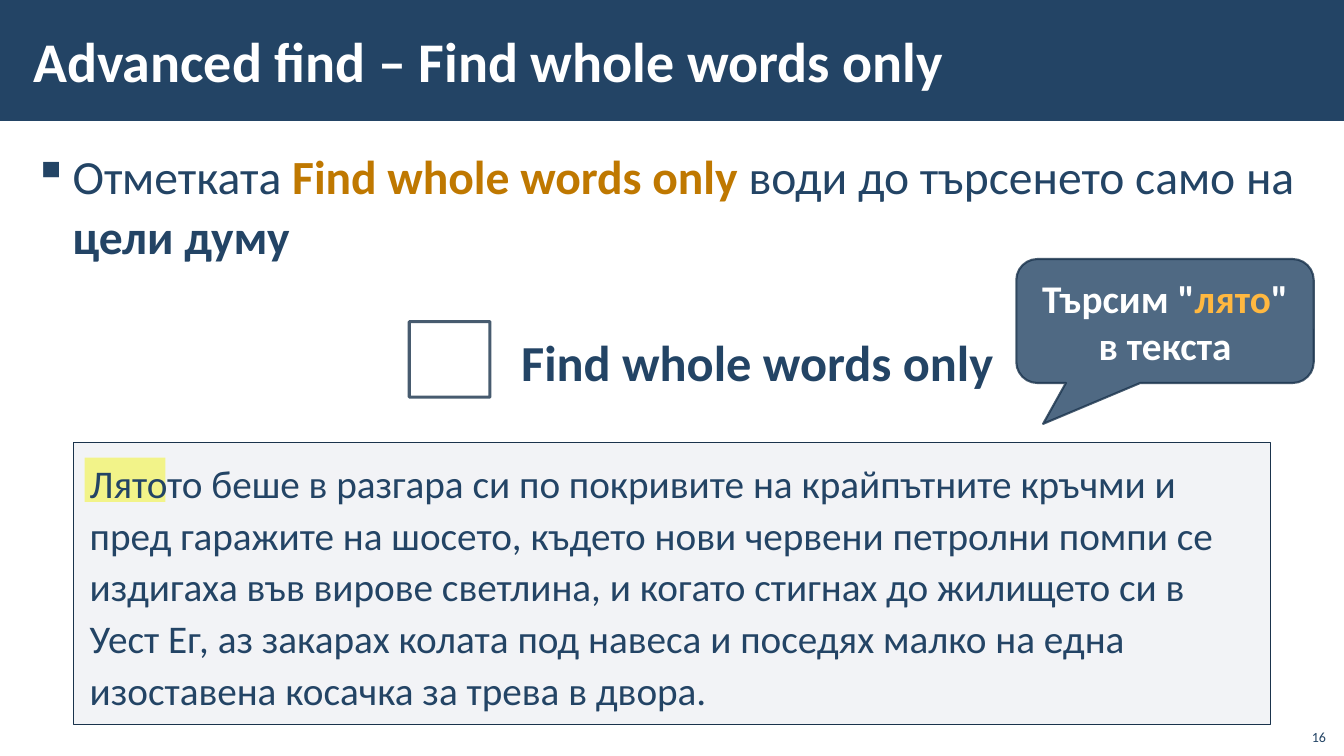
from lxml.etree import SubElement
from pptx import Presentation
from pptx.dml.color import RGBColor
from pptx.enum.shapes import MSO_SHAPE
from pptx.enum.text import MSO_ANCHOR, PP_ALIGN
from pptx.oxml.ns import qn
from pptx.util import Inches, Pt

COLORS = {
    "navy": "234465", "dark": "1A334C", "grey": "ADB4C3", "white": "FFFFFF",
    "brown": "BF7800", "gold": "FFB840", "yellow": "FFFF00",
}
FONT = "Calibri"
PAD = (0.16, 0.12, 0.16, 0.12)
STORY = (
    "Лятото беше в разгара си по покривите на крайпътните кръчми и пред "
    "гаражите на шосето, където нови червени петролни помпи се издигаха във "
    "вирове светлина, и когато стигнах до жилището си в Уест Ег, аз закарах "
    "колата под навеса и поседях малко на една изоставена косачка за трева "
    "в двора."
)


def tint(fill, name, alpha):
    """Set a solid colour with an opacity in percent."""
    fill.solid()
    fill.fore_color.rgb = RGBColor.from_string(COLORS[name])
    if alpha < 100:
        color = fill._xPr.find(qn("a:solidFill"))[0]
        SubElement(color, qn("a:alpha")).set("val", str(alpha * 1000))


def add_box(slide, box, kind=MSO_SHAPE.RECTANGLE, fill=None, alpha=100,
            line=None, width=1, clear=100):
    shape = slide.shapes.add_shape(kind, *map(Inches, box))
    shape.shadow.inherit = False
    if fill:
        tint(shape.fill, fill, alpha)
    else:
        shape.fill.background()
    if line:
        tint(shape.line.fill, line, clear)
        shape.line.width = Pt(width)
    else:
        shape.line.fill.background()
    return shape


def add_text(slide, box, runs, shape=None, size=28, color="navy", bold=False,
             align=PP_ALIGN.LEFT, anchor=MSO_ANCHOR.TOP, pad=PAD, space=None,
             bullet=None, indent=0):
    """Write runs of (text, color, bold) in a shape or a new text box."""
    shape = shape or slide.shapes.add_textbox(*map(Inches, box))
    frame = shape.text_frame
    frame.word_wrap = True
    frame.vertical_anchor = anchor
    (frame.margin_left, frame.margin_top,
     frame.margin_right, frame.margin_bottom) = map(Inches, pad)
    para = frame.paragraphs[0]
    para.alignment = align
    if space:
        para.line_spacing = space
    if bullet:
        props = para._p.get_or_add_pPr()
        props.set("marL", str(Inches(indent)))
        props.set("indent", str(-Inches(indent)))
        SubElement(props, qn("a:buChar")).set("char", bullet)
    if isinstance(runs, str):
        runs = [(runs, color, bold)]
    for text, tone, heavy in runs:
        run = para.add_run()
        run.text = text
        run.font.name = FONT
        run.font.size = Pt(size)
        run.font.bold = heavy
        run.font.color.rgb = RGBColor.from_string(COLORS[tone])


def add_title(slide, box):
    left, top, width, height = box
    add_box(slide, box, fill="navy")
    add_text(slide, (left + 0.21, top + 0.11, width - 2.1, height - 0.23),
             "Advanced find – Find whole words only", size=40, color="white",
             bold=True, anchor=MSO_ANCHOR.MIDDLE, pad=(0.12, 0.04, 0.12, 0.04))


def add_point(slide, box):
    runs = [
        ("Отметката ", "navy", False),
        ("Find whole words only ", "brown", True),
        ("води до търсенето само на ", "navy", False),
        ("цели думу", "navy", True),
    ]
    add_text(slide, box, runs, size=34, pad=(0.12, 0.12, 0.12, 0.04),
             space=1.05, bullet="▪", indent=0.39)


def add_story(slide, box):
    left, top, width, height = box
    # Mark behind the see-through panel
    add_box(slide, (left + 0.11, top + 0.15, 0.8, 0.44), fill="yellow", alpha=50)
    panel = add_box(slide, box, fill="grey", alpha=15, line="dark")
    add_text(slide, box, STORY, shape=panel, space=1.1)


def add_option(slide, box):
    left, top, width, height = box
    # Empty check box and its label
    add_box(slide, (left, top + 0.08, 0.8, 0.75), line="dark", width=2.25, clear=80)
    add_text(slide, (left + 0.95, top, width - 0.95, height),
             "Find whole words only", size=36, bold=True, space=1.1)


def add_callout(slide, box):
    shape = add_box(slide, box, MSO_SHAPE.ROUNDED_RECTANGULAR_CALLOUT,
                    fill="navy", alpha=80, line="dark", width=1.5, clear=80)
    for i, value in enumerate((-0.41, 0.83, 0.17)):
        shape.adjustments[i] = value
    runs = [("Търсим \"", "white", True), ("лято", "gold", True),
            ("\" в текста", "white", True)]
    add_text(slide, box, runs, shape=shape, align=PP_ALIGN.CENTER,
             anchor=MSO_ANCHOR.MIDDLE, pad=(0.1, 0.05, 0.1, 0.05))


def add_number(slide, box):
    add_text(slide, box, "16", size=10, align=PP_ALIGN.RIGHT,
             anchor=MSO_ANCHOR.BOTTOM, pad=(0.1, 0.05, 0.1, 0.05))


def main():
    deck = Presentation()
    deck.slide_width, deck.slide_height = Inches(13.33), Inches(7.5)
    slide = deck.slides.add_slide(deck.slide_layouts[6])
    add_title(slide, (0, 0, 13.33, 1.2))
    add_story(slide, (0.73, 4.39, 11.87, 2.8))
    add_number(slide, (12.85, 7.12, 0.4, 0.32))
    add_point(slide, (0.21, 1.31, 12.92, 1.4))
    add_option(slide, (4.06, 3.11, 6.26, 0.9))
    add_callout(slide, (10.08, 2.57, 2.95, 1.23))
    deck.save("out.pptx")


if __name__ == "__main__":
    main()
